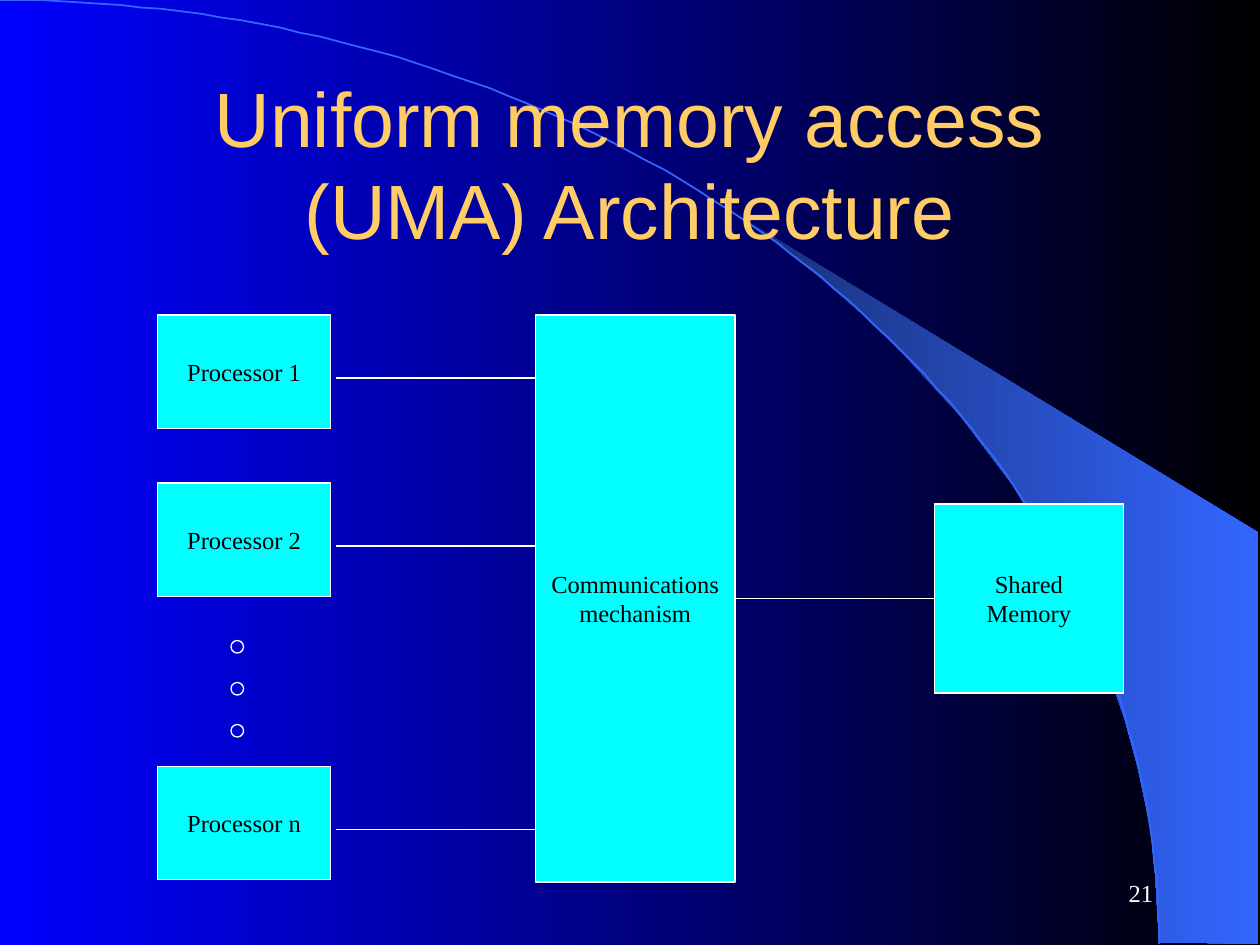
from math import cos, pi, sin

from lxml.etree import SubElement
from pptx import Presentation
from pptx.dml.color import RGBColor
from pptx.enum.shapes import MSO_CONNECTOR, MSO_SHAPE
from pptx.enum.text import MSO_ANCHOR, PP_ALIGN
from pptx.oxml.ns import qn
from pptx.util import Inches, Pt

UNIT = Inches(1) // 12  # the slide is a grid of 120 columns by 90 rows
HUNDREDTH = Inches(1) / 100
color = RGBColor.from_string


def write(shape, text, size, font, hex_color, align, wrap):
    frame = shape.text_frame
    frame.text = text
    frame.word_wrap = wrap
    frame.vertical_anchor = MSO_ANCHOR.MIDDLE
    for para in frame.paragraphs:
        para.alignment = align
        for span in para.runs:
            span.font.size = Pt(size)
            span.font.name = font
            span.font.color.rgb = color(hex_color)


def shade(fill, start, end):
    """Fill with a left-to-right gradient."""
    fill.gradient()
    fill.gradient_angle = 0
    for stop, position, hex_color in zip(fill.gradient_stops, (0, 1), (start, end)):
        stop.position = position
        stop.color.rgb = color(hex_color)


deck = Presentation()
deck.slide_width, deck.slide_height = 120 * UNIT, 90 * UNIT
page = deck.slides.add_slide(deck.slide_layouts[6])
shapes = page.shapes
shade(page.background.fill, "0000FF", "000000")

# Backdrop: a shaded wedge and a quarter ellipse, in hundredths of an inch
wedge_points = [
    (920, 748), (999, 749), (999, 423), (589, 173), (624, 199), (653, 222),
    (685, 250), (716, 280), (762, 330), (803, 384), (832, 431), (858, 479),
    (878, 528), (893, 572), (903, 609), (913, 656), (917, 696),
]
builder = shapes.build_freeform(*wedge_points[0], scale=HUNDREDTH)
builder.add_line_segments(wedge_points[1:], close=True)
wedge = builder.convert_to_shape()
wedge.shadow.inherit = False
wedge.line.fill.background()
shade(wedge.fill, "182F76", "3366FF")

STEPS = 90
angles = [step * pi / 2 / STEPS for step in range(1, STEPS + 1)]
builder = shapes.build_freeform(0, 0, scale=HUNDREDTH)
builder.add_line_segments(
    [(920 * sin(angle), 749 * (1 - cos(angle))) for angle in angles], close=False
)
arc = builder.convert_to_shape()
arc.shadow.inherit = False
arc.fill.background()
arc.line.color.rgb = color("3366FF")
arc.line.width = Pt(1)

# Page number and title
number = shapes.add_textbox(86 * UNIT, 82 * UNIT, 25 * UNIT, 6 * UNIT)
write(number, "21", 14, "Times New Roman", "FFFFFF", PP_ALIGN.RIGHT, True)
title = shapes.add_textbox(9 * UNIT, 8 * UNIT, 102 * UNIT, 15 * UNIT)
write(title, "Uniform memory access (UMA) Architecture", 44, "Arial", "FFCC66",
      PP_ALIGN.CENTER, True)

# Blocks: text, column, row, columns wide, rows high
blocks = {}
for text, column, row, width, height in [
    ("Shared\nMemory", 89, 48, 18, 18),
    ("Processor 1", 15, 30, 16.5, 10.8),
    ("Processor 2", 15, 46, 16.5, 10.8),
    ("Processor n", 15, 73, 16.5, 10.8),
    ("Communications\nmechanism", 51, 30, 19, 54),
]:
    block = shapes.add_shape(
        MSO_SHAPE.RECTANGLE, column * UNIT, row * UNIT, int(width * UNIT), int(height * UNIT)
    )
    block.shadow.inherit = False
    block.fill.solid()
    block.fill.fore_color.rgb = color("00FFFF")
    block.line.color.rgb = color("FFFFFF")
    block.line.width = Pt(0.75)
    write(block, text, 14, "Times New Roman", "000000", PP_ALIGN.CENTER, False)
    blocks[text] = block

# Links: start column, end column, row
links = []
for start, end, row in [(32, 51, 36), (32, 51, 52), (32, 51, 79), (70, 89, 57)]:
    link = shapes.add_connector(
        MSO_CONNECTOR.STRAIGHT, start * UNIT, row * UNIT, end * UNIT, row * UNIT
    )
    link.line.color.rgb = color("FFFFFF")
    link.line.width = Pt(0.75)
    SubElement(link.element.spPr, qn("a:effectLst"))
    links.append(link)
links[-1].begin_connect(blocks["Communications\nmechanism"], 3)
links[-1].end_connect(blocks["Shared\nMemory"], 1)

# Three rings stand for the processors left out
for row in (61, 65, 69):
    ring = shapes.add_shape(
        MSO_SHAPE.FLOWCHART_CONNECTOR, 22 * UNIT, row * UNIT, Inches(0.1), Inches(0.1)
    )
    ring.shadow.inherit = False
    ring.fill.background()
    ring.line.color.rgb = color("FFFFFF")
    ring.line.width = Pt(0.75)

deck.save("out.pptx")
